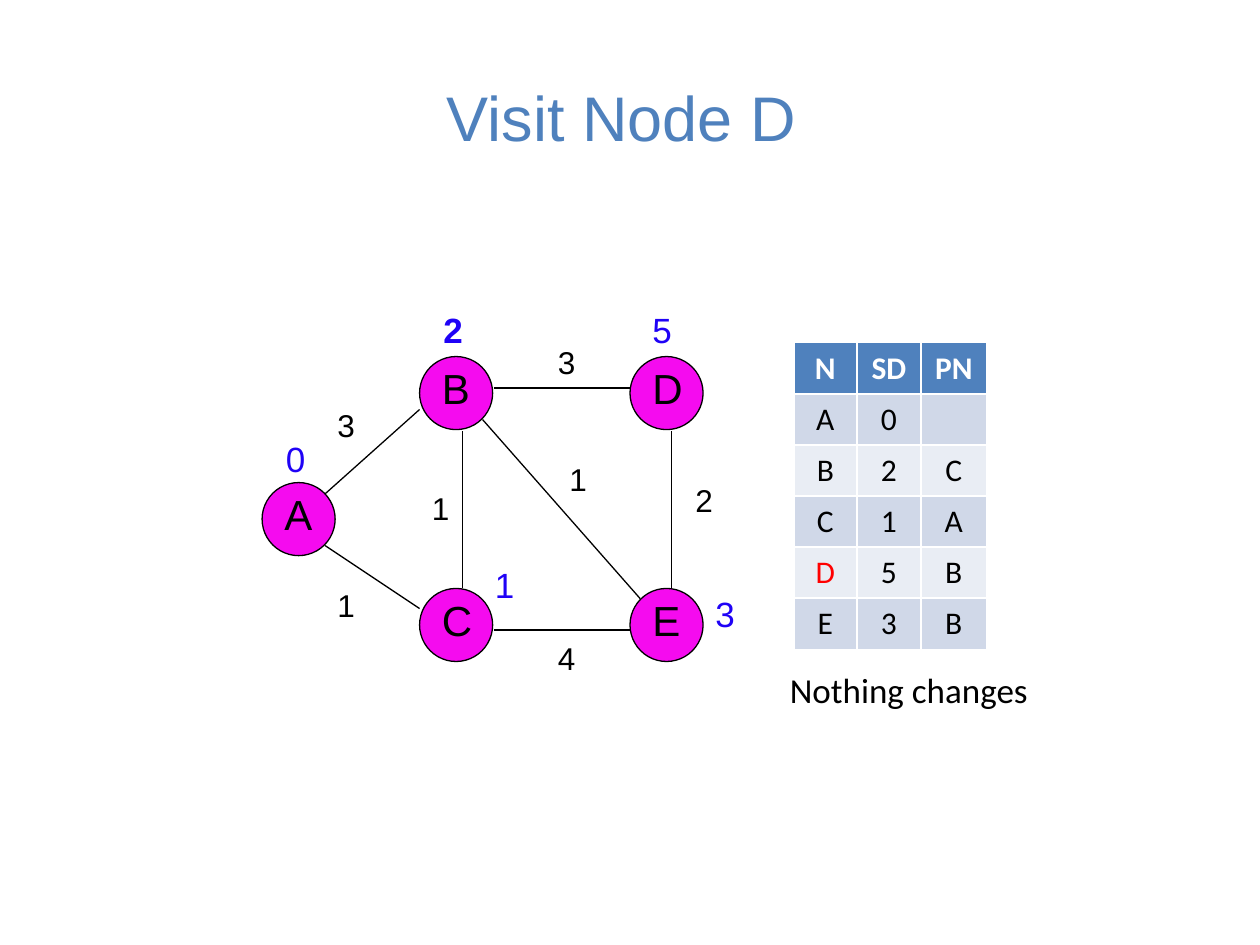
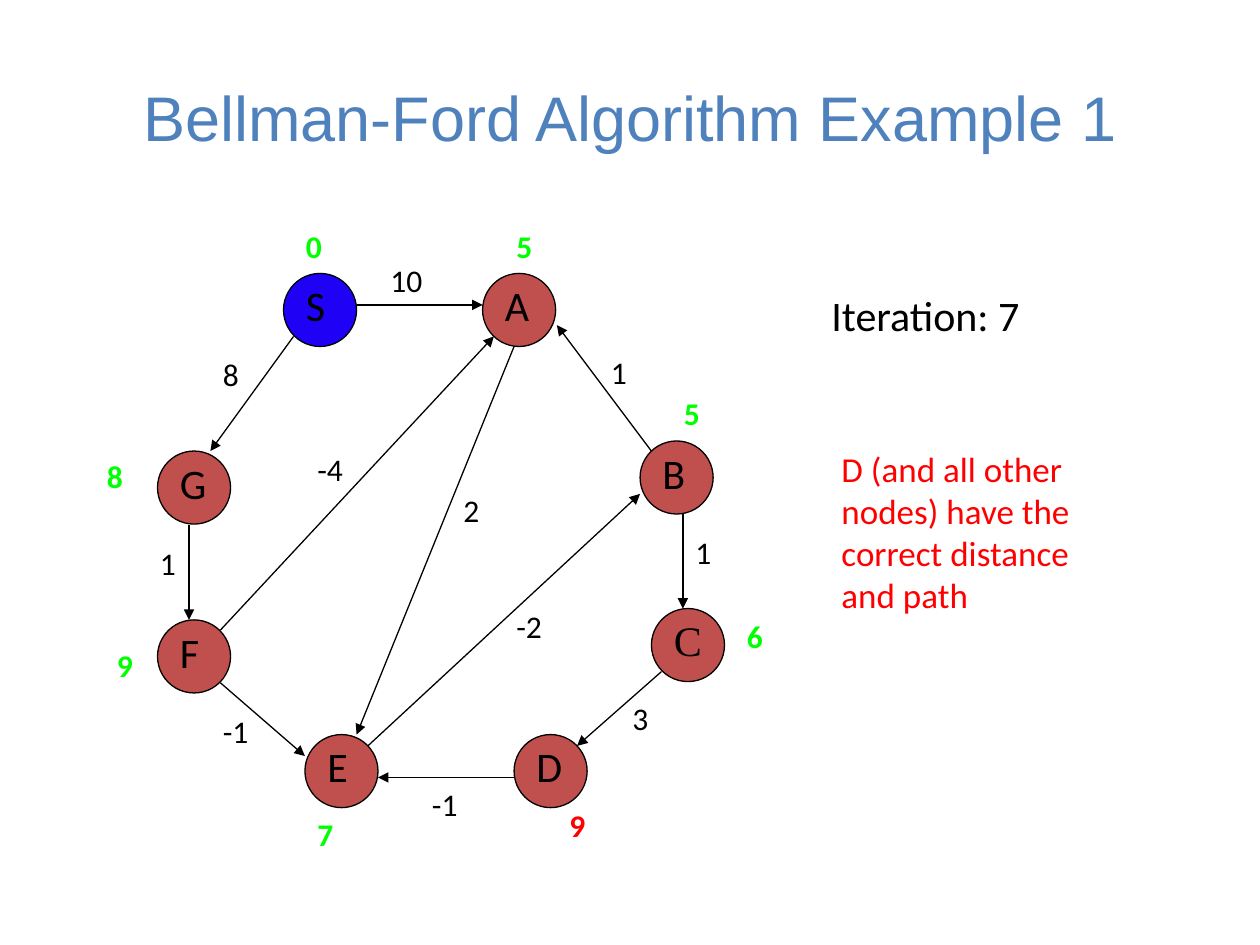
from dataclasses import dataclass
from typing import NamedTuple

from lxml.etree import SubElement
from pptx import Presentation
from pptx.dml.color import RGBColor
from pptx.enum.shapes import MSO_CONNECTOR as CONN, MSO_SHAPE as SHAPE
from pptx.enum.text import MSO_ANCHOR as ANCHOR, MSO_AUTO_SIZE as AUTO, PP_ALIGN as ALIGN
from pptx.oxml.ns import qn
from pptx.util import Inches, Pt

BLACK, WHITE, RED = "000000", "FFFFFF", "FF0000"
STEEL, BLUE, GREEN = "4F81BD", "1F02F6", "00FF00"
MAGENTA, BRICK = "F50BEF", "C0504D"
BANDS = ("D0D8E8", "E9EDF4")
NODE_SIZE = 0.58


@dataclass(frozen=True)
class Style:
    size: int
    font: str = "Calibri"
    color: str = BLACK
    bold: bool = False


@dataclass(frozen=True)
class Node:
    name: str
    x: float
    y: float
    fill: str
    style: Style


class Label(NamedTuple):
    text: str
    x: float
    y: float


class Edge(NamedTuple):
    x1: float
    y1: float
    x2: float
    y2: float


TITLE = Style(36, "Arial", STEEL)
ARIAL_NODE, ARIAL_WEIGHT = Style(24, "Arial"), Style(18, "Arial")
ARIAL_DISTANCE = Style(20, "Arial", BLUE)
ARIAL_SETTLED = Style(20, "Arial", BLUE, True)
NODE, TIMES_NODE, WEIGHT = Style(24), Style(24, "Times New Roman"), Style(18)
DISTANCE, FINAL_DISTANCE = Style(18, color=GREEN, bold=True), Style(18, color=RED, bold=True)
NOTE, RED_NOTE = Style(20), Style(20, color=RED)
HEADER, CELL, CURRENT = Style(18, color=WHITE, bold=True), Style(18), Style(18, color=RED)


def rgb(color: str) -> RGBColor:
    return RGBColor.from_string(color)


def add_run(p, text: str, style: Style) -> None:
    r = p.add_run()
    r.text = text
    r.font.name = style.font
    r.font.size = Pt(style.size)
    r.font.bold = style.bold
    r.font.color.rgb = rgb(style.color)


def add_text(shapes, text: str, x: float, y: float, w: float, h: float,
             style: Style, wrap: bool = True) -> None:
    tf = shapes.add_textbox(Inches(x), Inches(y), Inches(w), Inches(h)).text_frame
    tf.word_wrap = wrap
    tf.auto_size = AUTO.SHAPE_TO_FIT_TEXT
    add_run(tf.paragraphs[0], text, style)


def add_labels(slide, labels: list[Label], w: float, h: float, style: Style) -> None:
    for label in labels:
        add_text(slide.shapes, label.text, label.x, label.y, w, h, style)


def add_node(slide, node: Node) -> None:
    shapes = slide.shapes.add_group_shape().shapes
    sp = shapes.add_shape(SHAPE.OVAL, Inches(node.x), Inches(node.y),
                          Inches(NODE_SIZE), Inches(NODE_SIZE))
    sp.shadow.inherit = False
    sp.fill.solid()
    sp.fill.fore_color.rgb = rgb(node.fill)
    sp.line.color.rgb = rgb(BLACK)
    sp.line.width = Pt(0.75)
    add_text(shapes, node.name, node.x + 0.08, node.y, 0.5, 0.5, node.style)


def add_edge(slide, edge: Edge, arrow: bool) -> None:
    line = slide.shapes.add_connector(CONN.STRAIGHT, *(Inches(v) for v in edge))
    line.line.color.rgb = rgb(BLACK)
    line.line.width = Pt(0.75)
    if arrow:
        SubElement(line.line._get_or_add_ln(), qn("a:tailEnd"), type="triangle")
    SubElement(line._element.spPr, qn("a:effectLst"))


def add_graph(slide, nodes: list[Node], edges: list[Edge], arrows: bool) -> None:
    for node in nodes:
        add_node(slide, node)
    for edge in edges:
        add_edge(slide, edge, arrows)


def add_titled_slide(prs, title: str):
    slide = prs.slides.add_slide(prs.slide_layouts[5])
    sp = slide.shapes.title
    sp.left, sp.top, sp.width, sp.height = (Inches(v) for v in (0.5, 0.3, 9, 1.25))
    sp.text_frame.vertical_anchor = ANCHOR.MIDDLE
    p = sp.text_frame.paragraphs[0]
    p.alignment = ALIGN.CENTER
    add_run(p, title, TITLE)
    return slide


def add_distance_table(slide, rows: list[tuple[str, str, str]], current: str) -> None:
    widths, row_height = (0.5, 0.51, 0.52), 0.405
    table = slide.shapes.add_table(len(rows), len(widths), Inches(6.3), Inches(2.72),
                                   Inches(sum(widths)), Inches(row_height * len(rows))).table
    for column, width in zip(table.columns, widths):
        column.width = Inches(width)
    for i, row in enumerate(rows):
        for j, text in enumerate(row):
            cell = table.cell(i, j)
            cell.fill.solid()
            cell.fill.fore_color.rgb = rgb(BANDS[(i - 1) % 2] if i else STEEL)
            p = cell.text_frame.paragraphs[0]
            p.alignment = ALIGN.CENTER
            style = HEADER if i == 0 else CURRENT if (j, text) == (0, current) else CELL
            if text:
                add_run(p, text, style)
            else:
                p.font.size = Pt(style.size)


def build_visit_node(prs) -> None:
    slide = add_titled_slide(prs, "Visit Node D ")
    rows = [("N", "SD", "PN"), ("A", "0", ""), ("B", "2", "C"),
            ("C", "1", "A"), ("D", "5", "B"), ("E", "3", "B")]
    add_distance_table(slide, rows, "D")
    add_text(slide.shapes, "Nothing changes", 6.17, 5.26, 2.11, 0.44, NOTE, wrap=False)
    places = [("A", 2.08, 3.83), ("B", 3.33, 2.83), ("C", 3.33, 4.67),
              ("E", 5, 4.67), ("D", 5, 2.83)]
    nodes = [Node(*place, MAGENTA, ARIAL_NODE) for place in places]
    edges = [
        Edge(2.58, 3.92, 3.33, 3.25), Edge(2.58, 4.33, 3.33, 4.83),
        Edge(3.92, 5, 5, 5), Edge(5.33, 4.67, 5.33, 3.42),
        Edge(3.67, 4.67, 3.67, 3.42), Edge(3.92, 3.08, 5, 3.08),
        Edge(3.83, 3.33, 5.08, 4.75),
    ]
    add_graph(slide, nodes, edges, arrows=False)
    weights = [
        Label("3", 2.58, 3.17), Label("1", 2.58, 4.6), Label("1", 3.33, 3.83),
        Label("3", 4.33, 2.67), Label("2", 5.42, 3.77), Label("1", 4.42, 3.6),
        Label("4", 4.33, 5.02),
    ]
    distances = [Label("5", 5.08, 2.4), Label("3", 5.58, 4.65),
                 Label("1", 3.83, 4.42), Label("0", 2.17, 3.42)]
    add_labels(slide, weights, 0.58, 0.4, ARIAL_WEIGHT)
    add_labels(slide, distances, 0.58, 0.43, ARIAL_DISTANCE)
    add_labels(slide, [Label("2", 3.42, 2.4)], 0.58, 0.43, ARIAL_SETTLED)


def build_bellman_ford(prs) -> None:
    slide = add_titled_slide(prs, "Bellman-Ford Algorithm Example 1")
    places = [("G", 1.25, 3.58), ("F", 1.25, 4.92), ("E", 2.42, 5.83),
              ("A", 3.83, 2.17), ("D", 4.08, 5.83), ("B", 5.08, 3.5)]
    nodes = [Node(*place, BRICK, NODE) for place in places]
    nodes += [Node("S", 2.25, 2.17, BLUE, NODE), Node("C", 5.17, 4.83, BRICK, TIMES_NODE)]
    edges = [
        Edge(2.83, 2.42, 3.83, 2.42), Edge(5.17, 3.58, 4.42, 2.58),
        Edge(5.42, 4.08, 5.42, 4.83), Edge(5.25, 5.33, 4.58, 5.92),
        Edge(4.08, 6.17, 3, 6.17), Edge(1.75, 5.42, 2.42, 6),
        Edge(1.5, 4.17, 1.5, 4.92), Edge(2.33, 2.67, 1.67, 3.58),
        Edge(1.75, 5, 3.92, 2.67), Edge(4.08, 2.75, 2.83, 5.83),
        Edge(2.92, 5.92, 5.08, 3.92),
    ]
    add_graph(slide, nodes, edges, arrows=True)
    weights = [
        Label("10", 3, 2.02), Label("8", 1.67, 2.77), Label("1", 1.17, 4.27),
        Label("-1", 1.67, 5.6), Label("-1", 3.33, 6.18), Label("3", 4.92, 5.5),
        Label("1", 5.42, 4.18), Label("1", 4.75, 2.75), Label("2", 3.58, 3.85),
        Label("-2", 4, 4.77), Label("-4", 2.42, 3.52),
    ]
    distances = [
        Label("0", 2.33, 1.75), Label("5", 4, 1.75), Label("5", 5.33, 3.08),
        Label("6", 5.83, 4.85), Label("7", 2.42, 6.42), Label("9", 0.83, 5.08),
        Label("8", 0.75, 3.58),
    ]
    add_labels(slide, weights, 0.5, 0.4, WEIGHT)
    add_labels(slide, distances, 0.5, 0.4, DISTANCE)
    add_labels(slide, [Label("9", 4.42, 6.35)], 0.5, 0.4, FINAL_DISTANCE)
    add_text(slide.shapes, "Iteration: 7", 6.5, 2.25, 2.33, 0.5, NODE)
    add_text(slide.shapes, "D (and all other nodes) have the correct distance and path",
             6.58, 3.5, 2.42, 1.43, RED_NOTE)


def main() -> None:
    prs = Presentation()
    prs.slide_width, prs.slide_height = Inches(10), Inches(7.5)
    build_visit_node(prs)
    build_bellman_ford(prs)
    prs.save("out.pptx")


if __name__ == "__main__":
    main()
